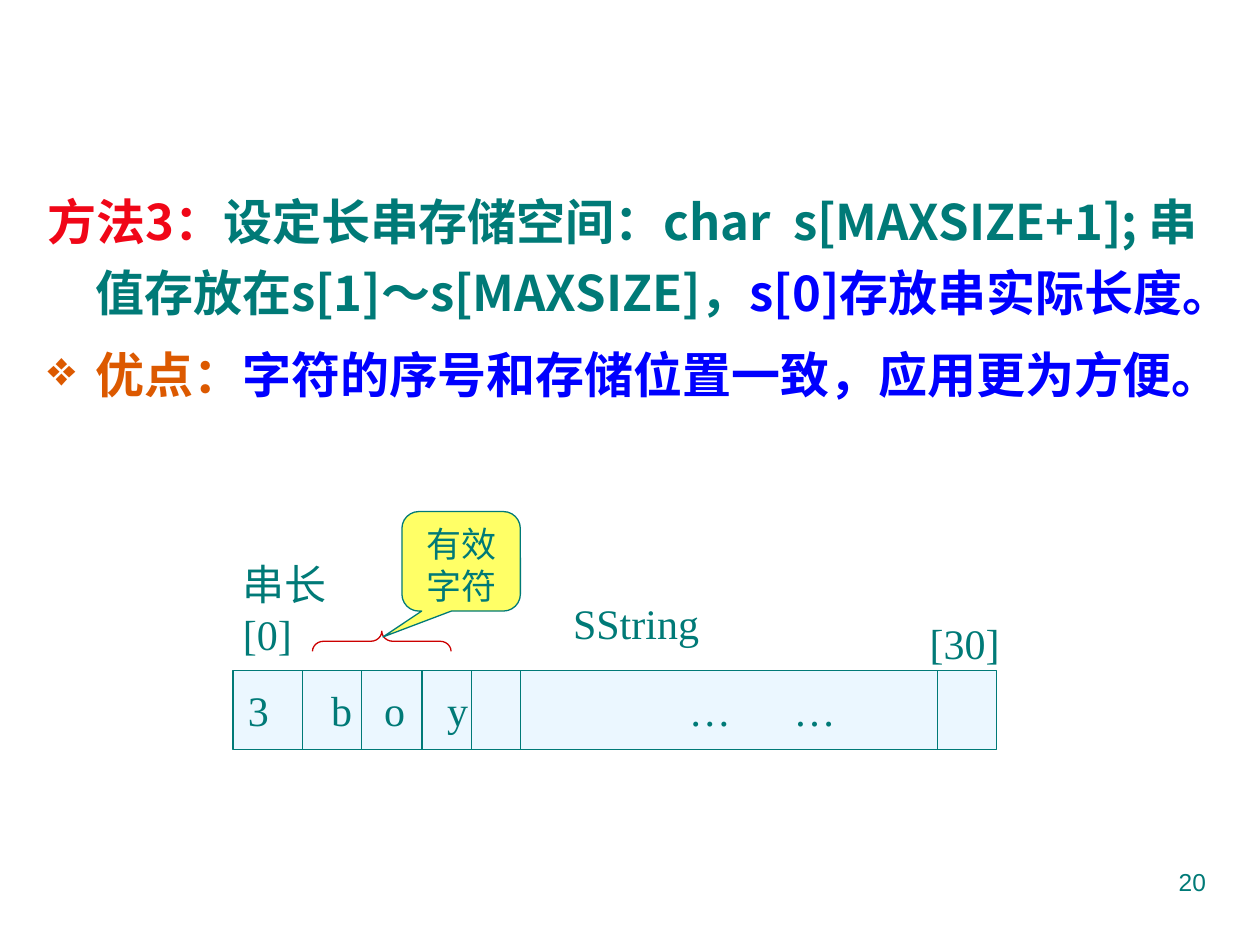
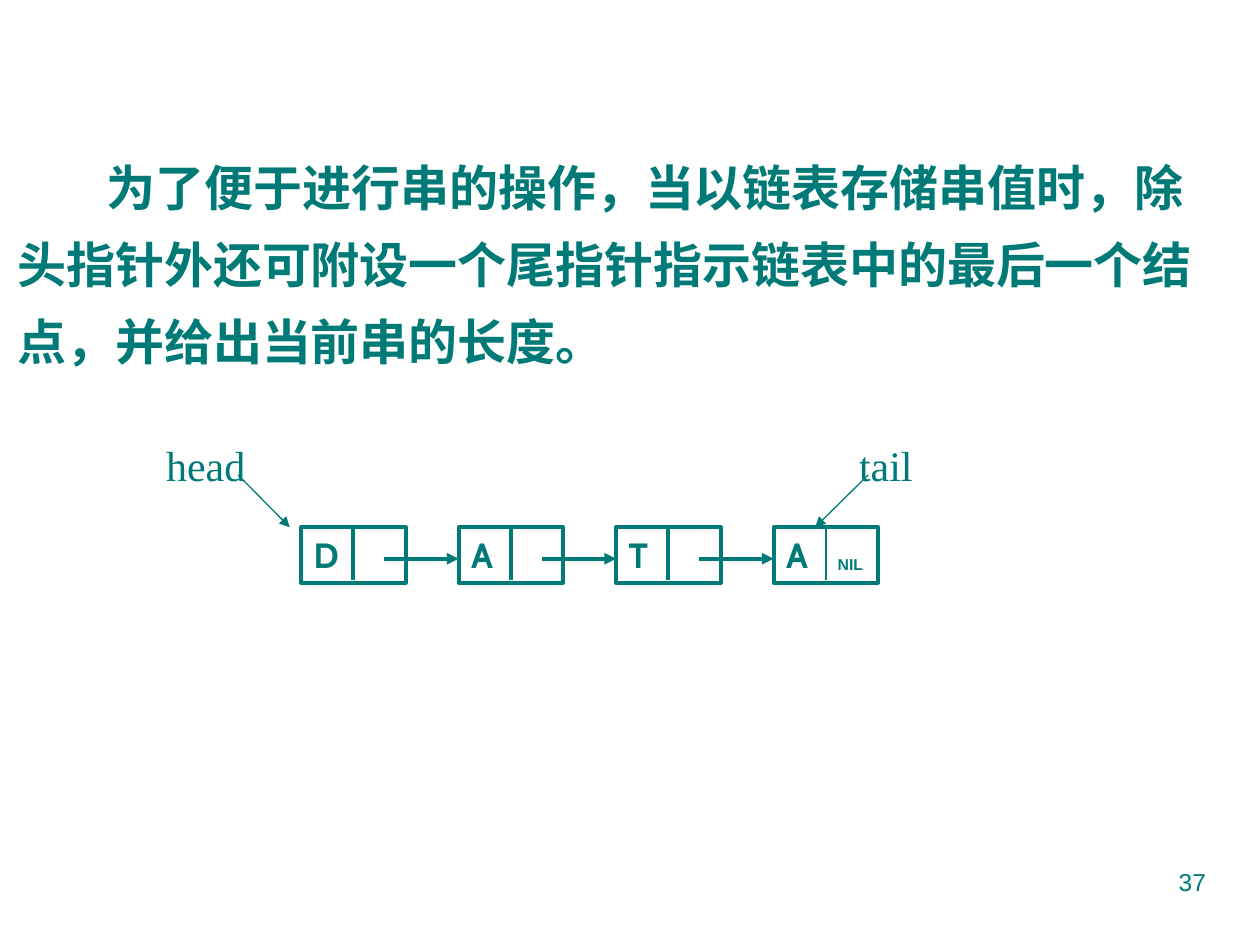
from dataclasses import dataclass
from typing import NamedTuple, Optional

from lxml import etree
from pptx import Presentation
from pptx import util as u
from pptx.dml.color import RGBColor
from pptx.enum import shapes, text
from pptx.oxml import ns

SLIDE_W, SLIDE_H = u.Inches(10), u.Inches(7.5)
COLUMNS, ROWS = 100, 75

TEAL, RED, BLUE, ORANGE = "007A77", "F00617", "0000FF", "DC5900"
PALE, YELLOW, BRACE_RED = "EBF7FF", "FFFF66", "CC0000"
HAN, SERIF, SANS, NODE_FONT = "Noto Sans CJK SC", "Times New Roman", "Arial", "Cabin"
THIN, THICK = 0.75, 2.25
KIND = shapes.MSO_SHAPE


class Box(NamedTuple):
    col: float
    row: float
    cols: float
    rows: float


class Run(NamedTuple):
    words: str
    color: str = TEAL


class Label(NamedTuple):
    words: str
    box: Box
    wrap: bool = True


@dataclass
class Line:
    start: tuple[float, float]
    end: tuple[float, float]
    width: float = THIN
    arrow: bool = False


def x(col: float) -> int:
    return round(SLIDE_W * col / COLUMNS)


def y(row: float) -> int:
    return round(SLIDE_H * row / ROWS)


def place(box: Box) -> tuple[int, int, int, int]:
    return x(box.col), y(box.row), x(box.cols), y(box.rows)


def rgb(color: str) -> RGBColor:
    return RGBColor.from_string(color)


def add_xml(parent, tag: str, **attributes: str):
    child = etree.SubElement(parent, ns.qn(tag))
    for key, value in attributes.items():
        child.set(key, value)
    return child


def write(frame, runs: list[Run], *, size: float, font: str = SERIF, bold: bool = False,
          align=text.PP_ALIGN.LEFT, anchor=text.MSO_ANCHOR.TOP, wrap: bool = True,
          spacing: Optional[float] = None, before: float = 0, margin: float = 0,
          indent: float = 0, bullet: str = "", append: bool = False) -> None:
    frame.word_wrap = wrap
    frame.vertical_anchor = anchor
    frame.margin_left = frame.margin_right = x(1)
    frame.margin_top = frame.margin_bottom = y(0.5)
    paragraph = frame.add_paragraph() if append else frame.paragraphs[0]
    paragraph.alignment = align
    paragraph.space_before = u.Pt(before)
    if spacing:
        paragraph.line_spacing = u.Pt(spacing)
    properties = paragraph._p.get_or_add_pPr()
    properties.set("marL", str(x(margin)))
    properties.set("indent", str(x(indent)))
    if bullet:
        add_xml(add_xml(properties, "a:buClr"), "a:srgbClr", val=ORANGE)
        add_xml(properties, "a:buSzPct", val="100000")
        add_xml(properties, "a:buChar", char=bullet)
    for part in runs:
        run = paragraph.add_run()
        run.text = part.words
        run.font.size = u.Pt(size)
        run.font.name = font
        run.font.bold = bold
        run.font.color.rgb = rgb(part.color)
        add_xml(run._r.get_or_add_rPr(), "a:ea", typeface=HAN)


def add_text(slide, box: Box, words: str, **style):
    frame = slide.shapes.add_textbox(*place(box)).text_frame
    write(frame, [Run(words)], **style)
    return frame


def add_shape(slide, kind, box: Box, fill: str = "", line: str = TEAL, width: float = THIN):
    shape = slide.shapes.add_shape(kind, *place(box))
    shape.shadow.inherit = False
    if fill:
        shape.fill.solid()
        shape.fill.fore_color.rgb = rgb(fill)
    else:
        shape.fill.background()
    shape.line.color.rgb = rgb(line)
    shape.line.width = u.Pt(width)
    return shape


def add_line(slide, line: Line) -> None:
    connector = slide.shapes.add_connector(
        shapes.MSO_CONNECTOR.STRAIGHT, x(line.start[0]), y(line.start[1]),
        x(line.end[0]), y(line.end[1]))
    connector.line.color.rgb = rgb(TEAL)
    connector.line.width = u.Pt(line.width)
    if line.arrow:
        add_xml(connector.line._get_or_add_ln(), "a:tailEnd", type="triangle")
    add_xml(connector._element.spPr, "a:effectLst")


def new_slide(deck, page: int):
    slide = deck.slides.add_slide(deck.slide_layouts[6])
    add_text(slide, Box(71.7, 68.3, 25, 5.2), str(page), size=14, font=SANS,
             align=text.PP_ALIGN.RIGHT)
    return slide


def array_slide(deck) -> None:
    slide = new_slide(deck, 20)
    method = slide.shapes.add_textbox(*place(Box(2.8, 13.7, 96, 24.4))).text_frame
    item = dict(size=28, font=HAN, bold=True, spacing=40.8, before=6, margin=3.8, indent=-3.8)
    write(method, [
        Run("方法3：", RED),
        Run("设定长串存储空间：char  s[MAXSIZE+1]; 串值存放在s[1]～s[MAXSIZE]，"),
        Run("s[0]存放串实际长度。", BLUE)], **item)
    write(method, [
        Run("优点：", ORANGE),
        Run("字符的序号和存储位置一致，应用更为方便。", BLUE)],
        bullet="❖", append=True, **item)

    array = Box(18.5, 53.2, 60.6, 6.3)
    add_shape(slide, KIND.RECTANGLE, array, PALE)
    for border in (24, 28.7, 33.5, 37.4, 41.3, 74.4):
        add_line(slide, Line((border, array.row), (border, array.row + array.rows)))
    for content, left in (("3", 18.7), ("b", 25.3), ("o", 29.5), ("y", 34.5),
                          ("…", 53.7), ("…", 62)):
        add_text(slide, Box(left, array.row, 6, array.rows), content, size=24,
                 anchor=text.MSO_ANCHOR.MIDDLE)

    length = add_text(slide, Box(18.3, 43.8, 10, 9), "串长", size=24)
    write(length, [Run("[0]")], size=24, append=True)
    for label in (Label("[30]", Box(72.8, 48.5, 8.7, 5)),
                  Label("SString", Box(44.5, 46.9, 12, 5), False)):
        add_text(slide, label.box, label.words, size=24, wrap=label.wrap)

    brace = add_shape(slide, KIND.LEFT_BRACE, Box(29.5, 45.4, 1.6, 11), line=BRACE_RED)
    brace.rotation = 90
    brace.adjustments[0] = 0.55
    callout = add_shape(slide, KIND.ROUNDED_RECTANGULAR_CALLOUT,
                        Box(31.9, 40.6, 9.4, 7.9), YELLOW)
    for index, value in enumerate((-0.66, 0.76, 0.17)):
        callout.adjustments[index] = value
    write(callout.text_frame, [Run("有效字符")], size=20, spacing=24,
          align=text.PP_ALIGN.CENTER)


def linked_list_slide(deck) -> None:
    slide = new_slide(deck, 37)
    add_text(slide, Box(0.4, 10.6, 97.6, 19.2),
             "为了便于进行串的操作，当以链表存储串值时，除头指针外还可附设一个尾指针"
             "指示链表中的最后一个结点，并给出当前串的长度。",
             size=28, font=SANS, bold=True, spacing=44, indent=7.1)

    first, top, pitch, letters = 23.9, 41.85, 12.5, "DATA"
    for index, letter in enumerate(letters):
        left = first + index * pitch
        is_last = index == len(letters) - 1
        node = add_shape(slide, KIND.RECTANGLE, Box(left, top, 8.3, 4.4), width=THICK)
        write(node.text_frame, [Run(letter)], size=20, font=NODE_FONT, bold=True)
        middle = left + 4.15
        add_line(slide, Line((middle, top), (middle, top + 4.2), THIN if is_last else THICK))
        if not is_last:
            add_line(slide, Line((left + 6.6, top + 2.5), (left + pitch, top + 2.5),
                                 THICK, True))

    add_text(slide, Box(65.5, 43.5, 4.2, 2.5), "NIL", size=9, font=SANS, bold=True)
    for label in (Label("head", Box(12.2, 34.4, 8.3, 5)),
                  Label("tail", Box(67.2, 34.4, 8.3, 5))):
        add_text(slide, label.box, label.words, size=24)
    for start, end in ((18.9, 23), (68.9, 64.7)):
        add_line(slide, Line((start, 37.7), (end, top), arrow=True))


def main() -> None:
    deck = Presentation()
    deck.slide_width, deck.slide_height = SLIDE_W, SLIDE_H
    array_slide(deck)
    linked_list_slide(deck)
    deck.save("out.pptx")


if __name__ == "__main__":
    main()
